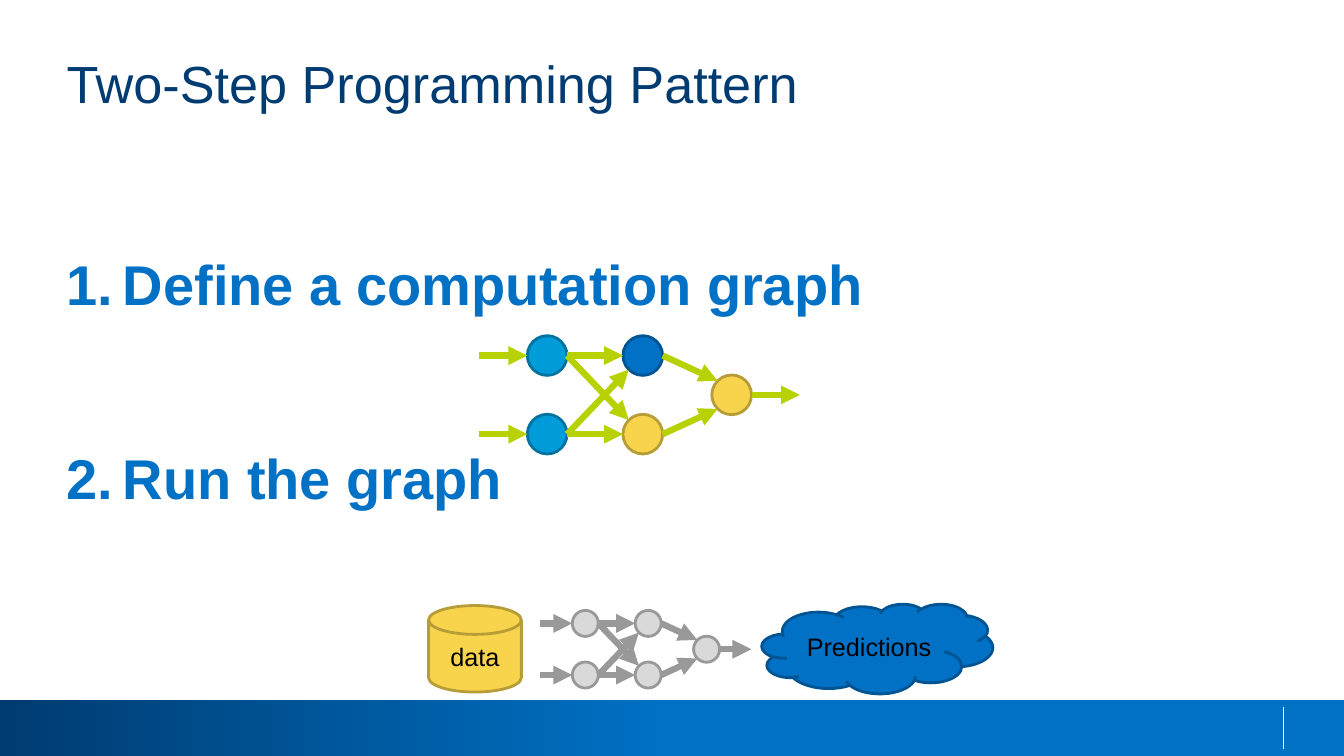
from lxml.etree import SubElement
from pptx import Presentation
from pptx.dml.color import RGBColor
from pptx.enum.shapes import MSO_CONNECTOR, MSO_SHAPE
from pptx.enum.text import MSO_ANCHOR, MSO_AUTO_SIZE, PP_ALIGN
from pptx.oxml.ns import qn
from pptx.util import Cm, Pt

NAVY, BLUE, CYAN, YELLOW = "003C71", "0071C5", "009CDA", "F8D44C"
LIME, GREY, LIGHT, WHITE, BLACK = "B7D103", "999999", "D9D9D9", "FFFFFF", "000000"
OUTLINE = {BLUE: "005492", CYAN: "0073A1", YELLOW: "B79D38", LIGHT: GREY}


def rgb(value):
    """Turn a hex string into a colour."""
    return RGBColor.from_string(value)


def format_text(p, size, color, bold=False):
    """Format every run of a paragraph."""
    for r in p.runs:
        r.font.name, r.font.size, r.font.bold = "Arial", Pt(size), bold
        r.font.color.rgb = rgb(color)


def zero_insets(tf):
    """Set the text at the left edge of its box, just below the top."""
    tf.margin_left = tf.margin_right = tf.margin_bottom = 0
    tf.margin_top = Cm(0.14)
    tf.vertical_anchor = MSO_ANCHOR.TOP
    tf.auto_size = MSO_AUTO_SIZE.NONE
    tf.word_wrap = True


def add_filled(slide, kind, box, fill, text=""):
    """Add an outlined preset shape with an optional centred label."""
    sp = slide.shapes.add_shape(kind, *map(Cm, box))
    sp.shadow.inherit = False
    sp.fill.solid()
    sp.fill.fore_color.rgb = rgb(fill)
    sp.line.color.rgb = rgb(OUTLINE[fill])
    sp.line.width = Pt(2)
    if text:
        tf = sp.text_frame
        tf.text = text
        tf.vertical_anchor = MSO_ANCHOR.MIDDLE
        tf.paragraphs[0].alignment = PP_ALIGN.CENTER
        format_text(tf.paragraphs[0], 18, BLACK)


def add_line(slide, start, end, color, width, arrow=False):
    """Add a straight line, with an arrowhead at its end if asked."""
    line = slide.shapes.add_connector(MSO_CONNECTOR.STRAIGHT, *map(Cm, (*start, *end)))
    line.line.color.rgb = rgb(color)
    line.line.width = Pt(width)
    if arrow:
        SubElement(line.line._get_or_add_ln(), qn("a:tailEnd"), type="triangle")
    SubElement(line._element.spPr, qn("a:effectLst"))


def add_footer(slide, left, top, width, height):
    """Add the gradient band and its thin divider."""
    sp = slide.shapes.add_shape(MSO_SHAPE.RECTANGLE, *map(Cm, (left, top, width, height)))
    sp.shadow.inherit = False
    sp.line.fill.background()
    sp.fill.gradient()
    sp.fill.gradient_angle = 0
    for stop, position, color in zip(sp.fill.gradient_stops, (0, 0.5), (NAVY, BLUE)):
        stop.position = position
        stop.color.rgb = rgb(color)
    x = left + width - 1.53
    add_line(slide, (x, top + 0.18), (x, top + height - 0.18), WHITE, 0.75)


def add_title(slide, left, top, width, height):
    """Place and format the title."""
    title = slide.shapes.title
    title.left, title.top, title.width, title.height = map(Cm, (left, top, width, height))
    tf = title.text_frame
    tf.text = "Two-Step Programming Pattern"
    zero_insets(tf)
    tf.paragraphs[0].alignment = PP_ALIGN.LEFT
    format_text(tf.paragraphs[0], 37.3, NAVY)


def add_steps(slide, left, top, width, height):
    """Add the two numbered steps."""
    tf = slide.shapes.add_textbox(*map(Cm, (left, top, width, height))).text_frame
    zero_insets(tf)
    tf.text = "Define a computation graph\nRun the graph"
    for p, spacing, before in zip(tf.paragraphs, (2.0, 1.5), (16, 67)):
        p.line_spacing, p.space_before = spacing, Pt(before)
        format_text(p, 40, BLUE, bold=True)
        pPr = p._p.get_or_add_pPr()
        pPr.set("marL", str(Cm(1.42)))
        pPr.set("indent", str(-Cm(1.42)))
        SubElement(pPr, qn("a:buFont"), typeface="+mj-lt")
        SubElement(pPr, qn("a:buAutoNum"), type="arabicPeriod")


def add_network(slide, left, top, width, fills, arrow_color):
    """Add two inputs, two hidden nodes and one output, joined by arrows."""
    scale = width / 8.08
    size, stub = scale, 1.22 * scale
    radius = size / 2
    columns = [left + x * scale for x in (1.22, 3.63, 5.87)]
    rows = [top + y * scale for y in (0, 0.99, 1.98)]
    upper, middle, lower = rows
    inputs = [(columns[0], y) for y in (upper, lower)]
    hidden = [(columns[1], y) for y in (upper, lower)]
    output = (columns[2], middle)

    def rim(node, dx, dy=0):
        """Point on a node's rim, as a direction from its centre."""
        return node[0] + radius * (1 + dx), node[1] + radius * (1 + dy)

    for node, fill in zip([*inputs, *hidden, output], fills):
        add_filled(slide, MSO_SHAPE.OVAL, (*node, size, size), fill)

    arrows = []
    for node in inputs:
        x, y = rim(node, -1)
        arrows.append(((x - stub, y), (x, y)))
    pairs = [(a, b) for a in inputs for b in hidden] + [(b, output) for b in hidden]
    for a, b in pairs:
        if a[1] == b[1]:
            target = rim(b, -1)
        else:
            target = rim(b, -0.71, -0.71 if a[1] < b[1] else 0.71)
        arrows.append((rim(a, 1), target))
    x, y = rim(output, 1)
    arrows.append(((x, y), (x + stub, y)))
    for start, end in arrows:
        add_line(slide, start, end, arrow_color, 4.5, arrow=True)


def add_run(slide, left, top, width, height):
    """Add the row that leads from data through the graph to predictions."""
    add_network(slide, left + 2.82, top + 0.16, 5.31, [LIGHT] * 5, GREY)
    add_filled(slide, MSO_SHAPE.FLOWCHART_MAGNETIC_DISK,
               (left, top + 0.04, 2.34, height - 0.08), YELLOW, "data")
    cloud_width = 5.82
    add_filled(slide, MSO_SHAPE.CLOUD,
               (left + width - cloud_width, top, cloud_width, height), BLUE, "Predictions")


def main():
    """Build and save the slide."""
    prs = Presentation()
    prs.slide_width, prs.slide_height = Cm(33.87), Cm(19.05)
    slide = prs.slides.add_slide(prs.slide_layouts[5])
    add_footer(slide, 0, 17.64, 33.87, 1.41)
    add_title(slide, 1.68, 1.14, 30.48, 3.23)
    add_steps(slide, 1.68, 4.45, 30.45, 12.7)
    add_network(slide, 12.07, 8.46, 8.08, [CYAN, CYAN, BLUE, YELLOW, YELLOW], LIME)
    add_run(slide, 10.8, 15.22, 14.22, 2.26)
    prs.save("out.pptx")


main()
